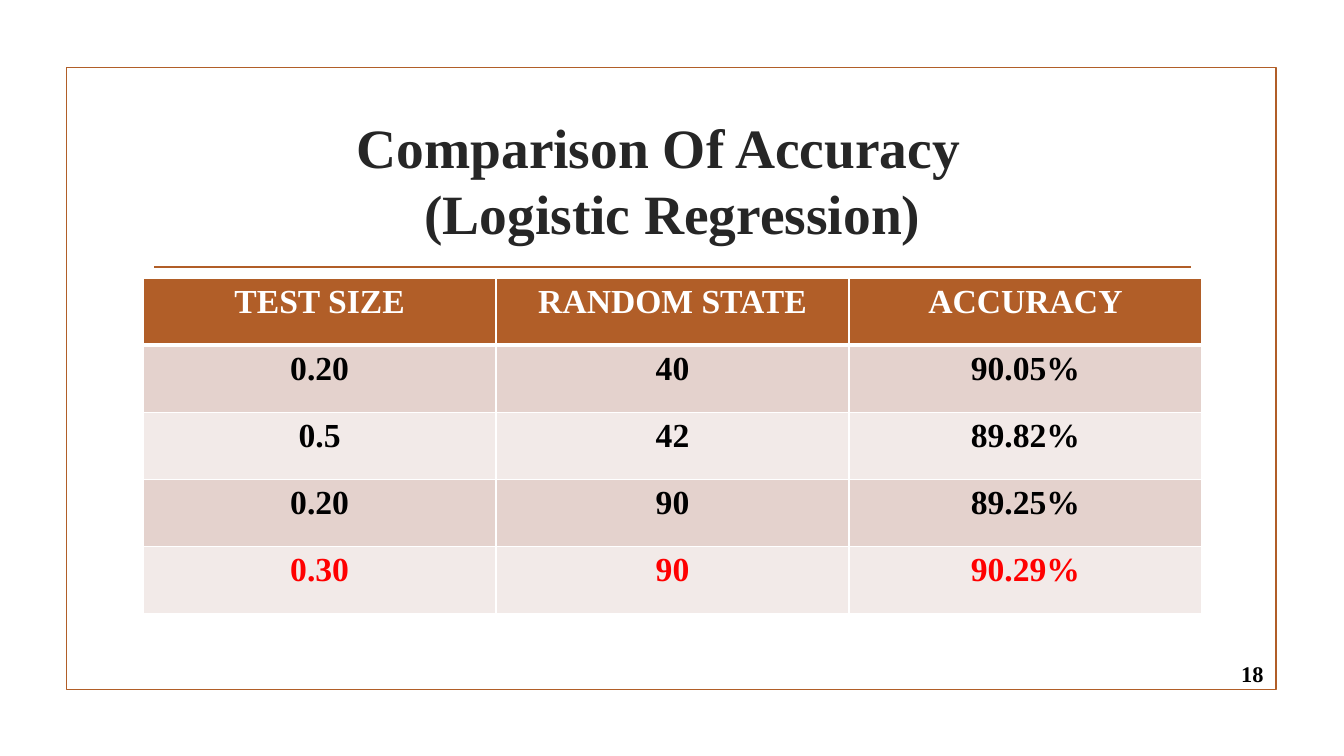
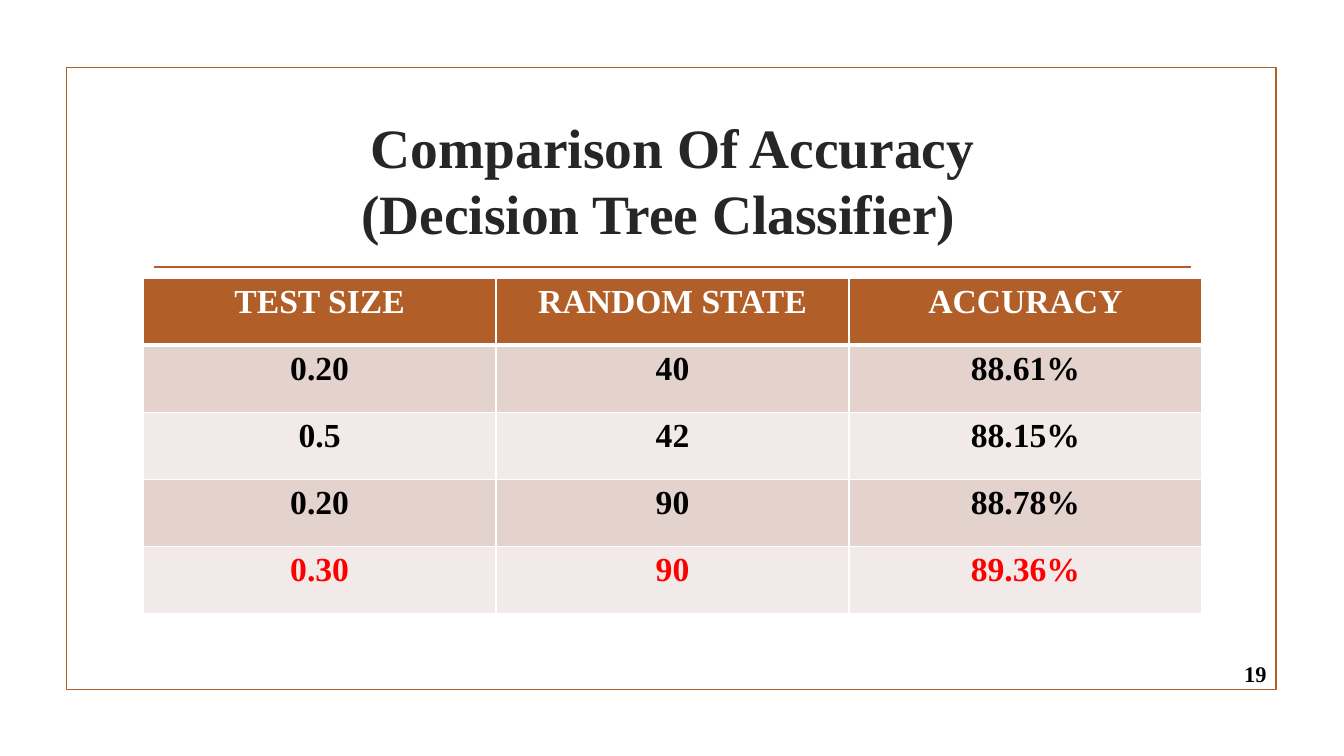
from dataclasses import dataclass

from lxml import etree
from pptx import Presentation
from pptx.dml.color import RGBColor
from pptx.enum import shapes, text
from pptx.oxml import ns
from pptx.util import Inches, Pt


@dataclass(frozen=True)
class Theme:
    font: str = "Times New Roman"
    accent: str = "B15E28"
    title: str = "262626"
    body: str = "000000"
    highlight: str = "FF0000"
    white: str = "FFFFFF"
    bands: tuple = ("E4D2CD", "F2EAE8")
    title_size: float = 39.6
    title_leading: float = 47
    table_size: float = 24
    number_size: float = 16
    rule: float = 1.25
    border: float = 1
    header_border: float = 3


THEME = Theme()
FRAME = (0.66, 0.67, 12, 6.17)
TITLE_BOX = (1.42, 1.07, 10.5, 1.43)
TABLE_BOX = (1.42, 2.76, 10.5, 3.33)
HEADERS = ("TEST SIZE", "RANDOM STATE", "ACCURACY")
SETTINGS = (("0.20", "40"), ("0.5", "42"), ("0.20", "90"), ("0.30", "90"))

# Each title line is paired with its right indent in inches.
SLIDES = (
    {
        "title": (("Comparison Of Accuracy", 0.28), ("(Logistic Regression)", 0)),
        "accuracies": ("90.05%", "89.82%", "89.25%", "90.29%"),
        "number": "18",
        "number_box": (11.32, 6.53, 1.31, 0.31),
    },
    {
        "title": (("Comparison Of Accuracy", 0), ("(Decision Tree Classifier)", 0.28)),
        "accuracies": ("88.61%", "88.15%", "88.78%", "89.36%"),
        "number": "19",
        "number_box": (11.32, 6.53, 1.34, 0.31),
    },
)


def inches(box):
    return [Inches(length) for length in box]


def write(paragraph, words, size, color, align=text.PP_ALIGN.CENTER):
    paragraph.alignment = align
    run = paragraph.add_run()
    run.text = words
    font_format = {"name": THEME.font, "size": Pt(size), "bold": True}
    for name, value in font_format.items():
        setattr(run.font, name, value)
    run.font.color.rgb = RGBColor.from_string(color)


def style_line(line):
    line.color.rgb = RGBColor.from_string(THEME.accent)
    line.width = Pt(THEME.rule)


def add_text_frame(slide, box):
    frame = slide.shapes.add_textbox(*inches(box)).text_frame
    frame.word_wrap = True
    frame.vertical_anchor = text.MSO_ANCHOR.MIDDLE
    return frame


def add_frame(slide, box):
    """Draw the outline and the rule below the title."""
    left, top, width, _ = box
    outline = slide.shapes.add_shape(shapes.MSO_SHAPE.RECTANGLE, *inches(box))
    outline.shadow.inherit = False
    outline.fill.background()
    style_line(outline.line)

    rule_y = top + 1.98
    ends = inches((left + 0.87, rule_y, left + width - 0.85, rule_y))
    rule = slide.shapes.add_connector(shapes.MSO_CONNECTOR.STRAIGHT, *ends)
    style_line(rule.line)
    etree.SubElement(rule.element.spPr, ns.qn("a:effectLst"))


def add_title(slide, box, lines):
    frame = add_text_frame(slide, box)
    for index, (words, right_indent) in enumerate(lines):
        paragraph = frame.add_paragraph() if index else frame.paragraphs[0]
        write(paragraph, words, THEME.title_size, THEME.title)
        paragraph.line_spacing = Pt(THEME.title_leading)
        paragraph._p.get_or_add_pPr().set("marR", str(Inches(right_indent)))


def set_borders(cell, top, bottom):
    properties = cell._tc.get_or_add_tcPr()
    widths = {"lnL": THEME.border, "lnR": THEME.border, "lnT": top, "lnB": bottom}
    for side, width in widths.items():
        line = etree.SubElement(properties, ns.qn(f"a:{side}"), w=str(Pt(width)))
        fill = etree.SubElement(line, ns.qn("a:solidFill"))
        etree.SubElement(fill, ns.qn("a:srgbClr"), val=THEME.white)


def add_accuracy_table(slide, box, accuracies):
    """Fill a banded table whose last row is highlighted."""
    rows = [HEADERS]
    rows += [(*setting, accuracy) for setting, accuracy in zip(SETTINGS, accuracies)]
    table = slide.shapes.add_table(len(rows), len(HEADERS), *inches(box)).table
    last = len(rows) - 1
    for row_index, row in enumerate(rows):
        fill = THEME.bands[(row_index - 1) % 2] if row_index else THEME.accent
        color = {0: THEME.white, last: THEME.highlight}.get(row_index, THEME.body)
        top = THEME.header_border if row_index == 1 else THEME.border
        bottom = THEME.border if row_index else THEME.header_border
        for column_index, words in enumerate(row):
            cell = table.cell(row_index, column_index)
            set_borders(cell, top, bottom)
            cell.fill.solid()
            cell.fill.fore_color.rgb = RGBColor.from_string(fill)
            write(cell.text_frame.paragraphs[0], words, THEME.table_size, color)


def add_number(slide, box, number):
    paragraph = add_text_frame(slide, box).paragraphs[0]
    write(paragraph, number, THEME.number_size, THEME.body, text.PP_ALIGN.RIGHT)


def add_comparison_slide(presentation, content):
    slide = presentation.slides.add_slide(presentation.slide_layouts[6])
    add_frame(slide, FRAME)
    add_title(slide, TITLE_BOX, content["title"])
    add_accuracy_table(slide, TABLE_BOX, content["accuracies"])
    add_number(slide, content["number_box"], content["number"])


def main():
    presentation = Presentation()
    presentation.slide_width = Inches(13.33)
    presentation.slide_height = Inches(7.5)
    for content in SLIDES:
        add_comparison_slide(presentation, content)
    presentation.save("out.pptx")


if __name__ == "__main__":
    main()
